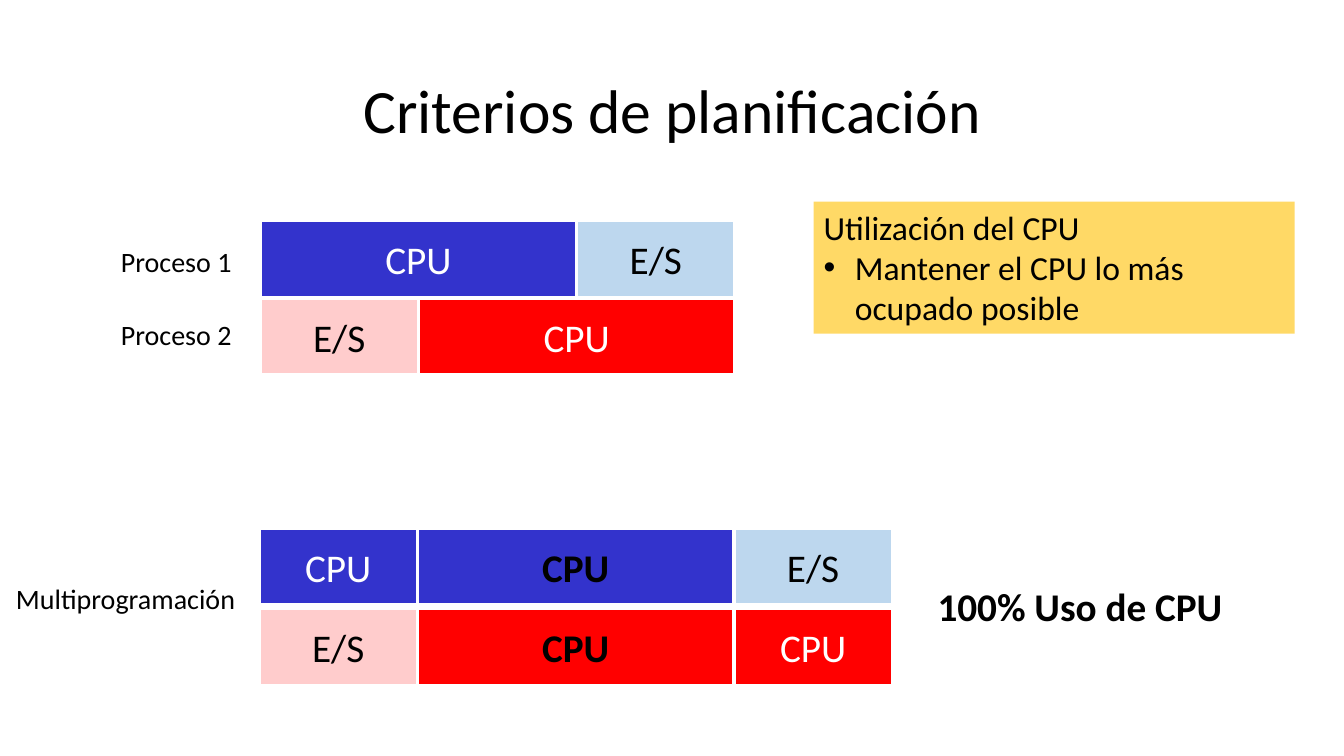
from lxml.etree import SubElement
from pptx import Presentation
from pptx.dml.color import RGBColor
from pptx.enum.dml import MSO_PATTERN
from pptx.enum.shapes import MSO_SHAPE
from pptx.enum.text import MSO_ANCHOR, MSO_AUTO_SIZE, PP_ALIGN
from pptx.oxml.ns import qn
from pptx.util import Inches, Pt

COLORS = {
    "black": "000000", "white": "FFFFFF", "note": "FFD966",
    "blue": "3333CC", "red": "FF0000",
    "pale blue": "BDD7EE", "pale red": "FFCCCC",
}
FONT = "Calibri"
UNIT, BAR_HEIGHT = 1.57, 0.76  # one time slot and the height of a bar


def color(name):
    return RGBColor.from_string(COLORS[name])


def add_run(paragraph, text, size, ink="black", bold=False):
    run = paragraph.add_run()
    run.text = text
    run.font.name, run.font.size, run.font.bold = FONT, Pt(size), bold
    run.font.color.rgb = color(ink)


def add_rectangle(slide, box):
    rectangle = slide.shapes.add_shape(MSO_SHAPE.RECTANGLE, *map(Inches, box))
    rectangle.shadow.inherit = False
    return rectangle


def add_label(slide, box, text, size, bold=False):
    label = slide.shapes.add_textbox(*map(Inches, box))
    label.text_frame.word_wrap = False
    label.text_frame.auto_size = MSO_AUTO_SIZE.SHAPE_TO_FIT_TEXT
    add_run(label.text_frame.paragraphs[0], text, size, bold=bold)


def add_title(slide, box, text):
    title = slide.shapes.add_textbox(*map(Inches, box)).text_frame
    title.word_wrap = True
    title.vertical_anchor = MSO_ANCHOR.MIDDLE
    heading = title.paragraphs[0]
    heading.alignment, heading.line_spacing = PP_ALIGN.CENTER, 0.9
    add_run(heading, text, 44)


def add_note(slide, box, heading, point):
    note = add_rectangle(slide, box)
    note.fill.solid()
    note.fill.fore_color.rgb = color("note")
    note.line.fill.background()
    frame = note.text_frame
    frame.word_wrap = True
    frame.auto_size = MSO_AUTO_SIZE.SHAPE_TO_FIT_TEXT
    frame.vertical_anchor = MSO_ANCHOR.TOP
    for paragraph, text in ((frame.paragraphs[0], heading),
                            (frame.add_paragraph(), point)):
        paragraph.alignment = PP_ALIGN.LEFT
        add_run(paragraph, text, 24)
    # Bullet with a hanging indent
    properties = paragraph._p.get_or_add_pPr()
    indent = Inches(0.31)
    properties.set("marL", str(indent))
    properties.set("indent", str(-indent))
    SubElement(properties, qn("a:buFont")).set("typeface", "Arial")
    SubElement(properties, qn("a:buChar")).set("char", "•")


def add_bar(slide, box, text, fill, ink, shared):
    bar = add_rectangle(slide, box)
    if shared:
        bar.fill.patterned()
        bar.fill.pattern = MSO_PATTERN.DARK_VERTICAL
        bar.fill.back_color.rgb = color("white")
    else:
        bar.fill.solid()
    bar.fill.fore_color.rgb = color(fill)
    bar.line.color.rgb = color("white")
    bar.line.width = Pt(2.25)
    bar.text_frame.vertical_anchor = MSO_ANCHOR.MIDDLE
    paragraph = bar.text_frame.paragraphs[0]
    paragraph.alignment = PP_ALIGN.CENTER
    add_run(paragraph, text, 28, ink, shared)


def add_timeline(slide, left, top, pitch, rows):
    """Lay out rows of (text, slots, fill, ink, shared) bars end to end."""
    for index, row in enumerate(rows):
        start = left
        for text, slots, fill, ink, shared in row:
            width = slots * UNIT
            add_bar(slide, (start, top + index * pitch, width, BAR_HEIGHT),
                    text, fill, ink, shared)
            start += width


def build_slide(slide):
    add_title(slide, (0.92, 0.4, 11.5, 1.45), "Criterios de planificación")
    add_note(slide, (8.07, 2, 4.77, 1.31), "Utilización del CPU",
             "Mantener el CPU lo más ocupado posible")

    # Bars used by both timelines
    blue_wait = ("E/S", 1, "pale blue", "black", False)
    red_wait = ("E/S", 1, "pale red", "black", False)

    # Each process on its own
    add_timeline(slide, 2.58, 2.19, 0.77, [
        [("CPU", 2, "blue", "white", False), blue_wait],
        [red_wait, ("CPU", 2, "red", "white", False)],
    ])
    for index in range(2):
        add_label(slide, (1.1, 2.38 + index * 0.72, 1.31, 0.44),
                  f"Proceso {index + 1}", 20)

    # Both processes sharing the processor
    add_timeline(slide, 2.57, 5.24, 0.8, [
        [("CPU", 1, "blue", "white", False),
         ("CPU", 2, "blue", "black", True), blue_wait],
        [red_wait, ("CPU", 2, "red", "black", True),
         ("CPU", 1, "red", "white", False)],
    ])
    add_label(slide, (0.06, 5.72, 2.4, 0.44), "Multiprogramación", 20)
    add_label(slide, (9.2, 5.73, 3.12, 0.57), "100% Uso de CPU", 28, bold=True)


def main():
    deck = Presentation()
    deck.slide_width, deck.slide_height = Inches(13.33), Inches(7.5)
    build_slide(deck.slides.add_slide(deck.slide_layouts[6]))
    deck.save("out.pptx")


if __name__ == "__main__":
    main()
